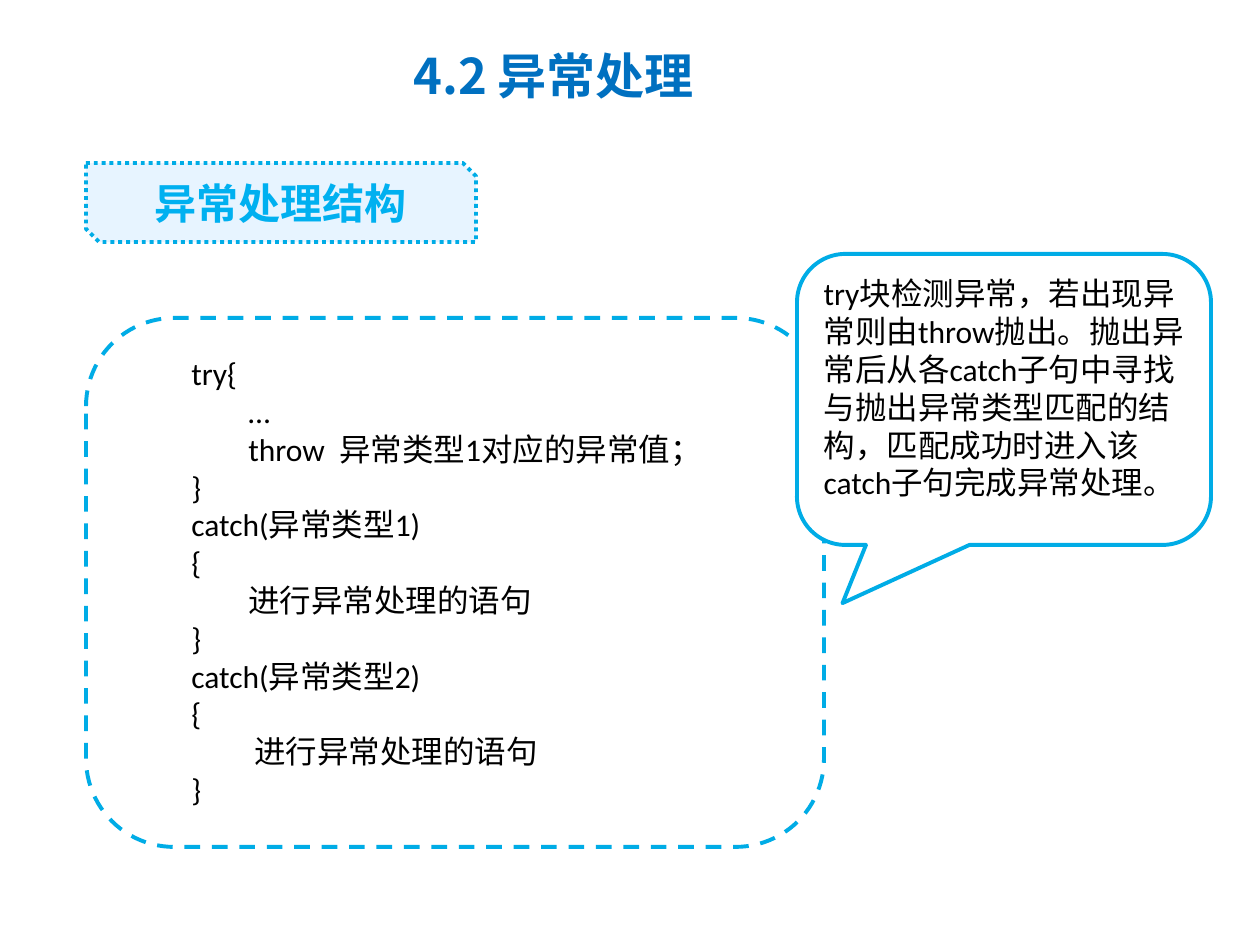
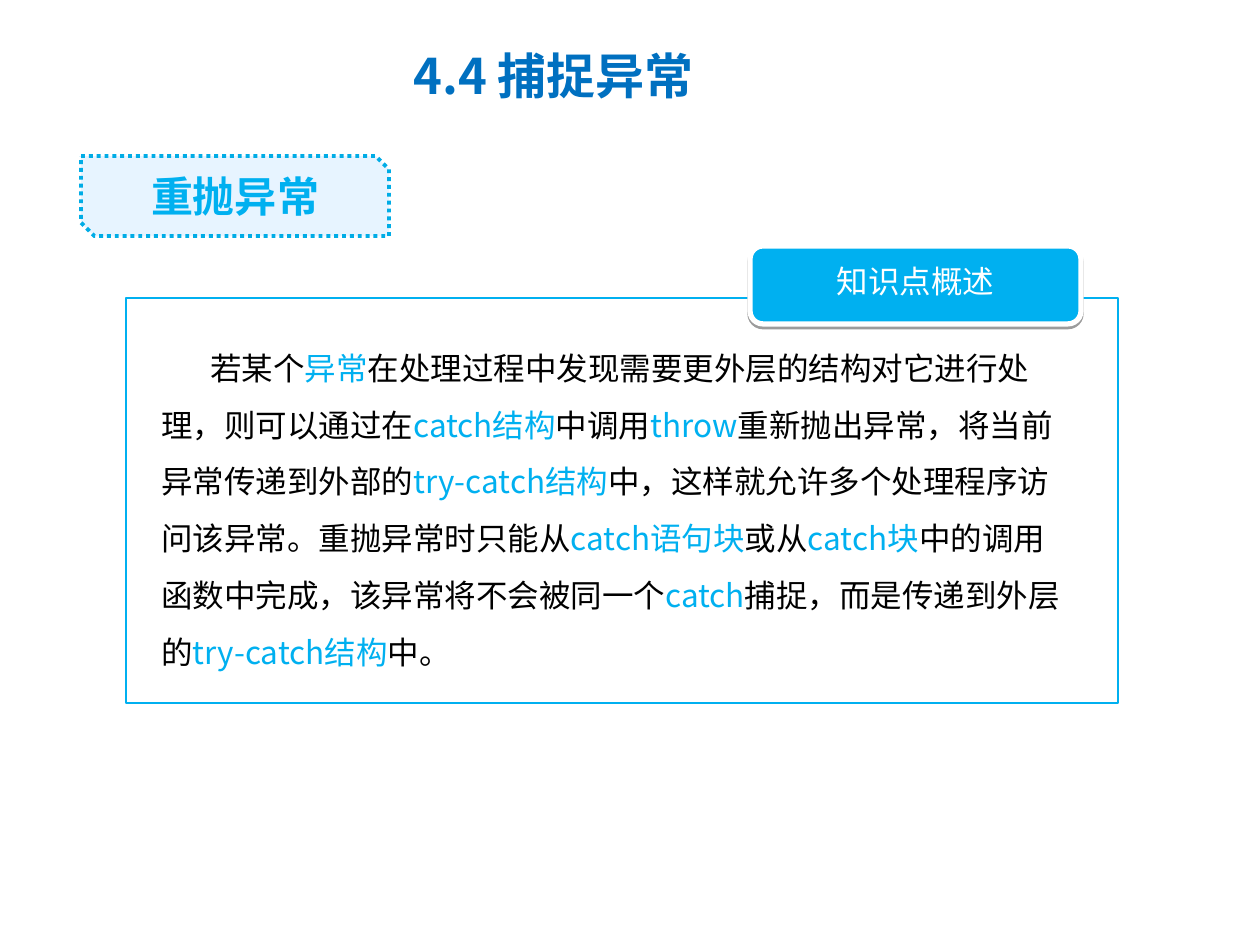
"""Builds two slides on exception handling structure and rethrowing."""
import pptx
import pptx.util
import pptx.dml.color
import pptx.enum.dml
import pptx.enum.shapes
import pptx.enum.text
import pptx.oxml
import pptx.oxml.ns
import lxml.etree
from dataclasses import dataclass

PX = 914400 / 126
SHAPE = pptx.enum.shapes.MSO_SHAPE
ALIGN = pptx.enum.text.PP_ALIGN
ANCHOR = pptx.enum.text.MSO_ANCHOR
DASH = pptx.enum.dml.MSO_LINE
qn = pptx.oxml.ns.qn


@dataclass(frozen=True)
class Theme:
    title: str = "0070C0"
    accent: str = "00B0F0"
    outline: str = "00ACE6"
    pale: str = "E7F4FF"
    white: str = "FFFFFF"
    black: str = "000000"
    sans: str = "Noto Sans CJK SC"
    latin: str = "Calibri"
    title_size: int = 28
    label_size: int = 24
    body_size: int = 18


T = Theme()


def add_box(s, kind, box, fill=None, line=None, width=2.25, dash=None):
    sp = s.shapes.add_shape(kind, *[round(v * PX) for v in box])
    sp.shadow.inherit = False
    if fill:
        sp.fill.solid()
        sp.fill.fore_color.rgb = pptx.dml.color.RGBColor.from_string(fill)
    else:
        sp.fill.background()
    if line:
        sp.line.color.rgb = pptx.dml.color.RGBColor.from_string(line)
        sp.line.width = pptx.util.Pt(width)
        sp.line.dash_style = dash
    else:
        sp.line.fill.background()
    return sp


def style_text(tf, size, color, font, bold=False, align=ALIGN.LEFT, anchor=ANCHOR.MIDDLE):
    tf.word_wrap = True
    tf.vertical_anchor = anchor
    for p in tf.paragraphs:
        p.alignment = align
        for r in p.runs:
            r.font.size = pptx.util.Pt(size)
            r.font.bold = bold
            r.font.name = font
            r.font.color.rgb = pptx.dml.color.RGBColor.from_string(color)
            ea = lxml.etree.SubElement(r.font._element, qn("a:ea"))
            ea.set("typeface", font)


prs = pptx.Presentation()
prs.slide_width = round(1260 * PX)
prs.slide_height = round(945 * PX)

slides = []
for title, label, label_box in [
    ("4.2 异常处理", "异常处理结构", (86, 163, 390, 79)),
    ("4.4 捕捉异常", "重抛异常", (81, 156, 308, 80)),
]:
    s = prs.slides.add_slide(prs.slide_layouts[5])
    sp = s.shapes.title
    sp.left, sp.top, sp.width, sp.height = [round(v * PX) for v in (228, 21, 651, 107)]
    sp.text_frame.text = title
    style_text(sp.text_frame, T.title_size, T.title, T.sans, True, ALIGN.CENTER)
    sp = add_box(s, SHAPE.SNIP_2_DIAG_RECTANGLE, label_box, T.pale, T.outline, dash=DASH.ROUND_DOT)
    sp.text_frame.text = label
    style_text(sp.text_frame, T.label_size, T.accent, T.latin, True, ALIGN.CENTER)
    slides.append(s)

s = slides[0]
add_box(s, SHAPE.ROUNDED_RECTANGLE, (86, 318, 738, 529), line=T.outline, dash=DASH.DASH)

code = [
    (0, "try{"),
    (57, "…"),
    (57, "throw  异常类型1对应的异常值；"),
    (0, "}"),
    (0, "catch(异常类型1)"),
    (0, "{"),
    (57, "进行异常处理的语句"),
    (0, "}"),
    (0, "catch(异常类型2)"),
    (0, "{"),
    (63, "进行异常处理的语句"),
    (0, "}"),
]
sp = s.shapes.add_textbox(*[round(v * PX) for v in (179, 348, 602, 466)])
tf = sp.text_frame
tf.text = "\n".join(text for _, text in code)
style_text(tf, T.body_size, T.black, T.latin, anchor=ANCHOR.TOP)
for p, (indent, _) in zip(tf.paragraphs, code):
    p._p.get_or_add_pPr().set("marL", str(round(indent * PX)))

sp = add_box(s, SHAPE.ROUNDED_RECTANGULAR_CALLOUT, (797, 254, 414, 291), T.white, T.outline)
sp.adjustments[0], sp.adjustments[1] = -0.39, 0.7
sp.text_frame.text = (
    "try块检测异常，若出现异常则由throw抛出。抛出异常后从各catch子句中"
    "寻找与抛出异常类型匹配的结构，匹配成功时进入该catch子句完成异常处理。"
)
style_text(sp.text_frame, T.body_size, T.black, T.latin, anchor=ANCHOR.TOP)

s = slides[1]
sp = add_box(s, SHAPE.RECTANGLE, (126, 298, 992, 405), T.white, T.accent, 0.75)
color = sp._element.spPr.find(qn("a:solidFill"))[0]
lxml.etree.SubElement(color, qn("a:alpha")).set("val", "90000")

sp = add_box(s, SHAPE.ROUNDED_RECTANGLE, (750, 246, 331, 78), T.accent, T.white, 3)
sp.text_frame.text = "知识点概述"
sp.text_frame.margin_bottom = round(14 * PX)
style_text(sp.text_frame, T.body_size, T.white, T.sans, align=ALIGN.CENTER)
sp._element.spPr.find(qn("a:effectLst")).append(pptx.oxml.parse_xml(
    '<a:outerShdw xmlns:a="http://schemas.openxmlformats.org/drawingml/2006/main" '
    'dist="20000" dir="5400000" rotWithShape="0">'
    f'<a:srgbClr val="{T.black}"><a:alpha val="38000"/></a:srgbClr></a:outerShdw>'
))

summary = [
    "若某个", "异常", "在处理过程中发现需要更外层的结构对它进行处理，则可以通过在",
    "catch结构", "中调用", "throw", "重新抛出异常，将当前异常传递到外部的",
    "try-catch结构", "中，这样就允许多个处理程序访问该异常。重抛异常时只能从",
    "catch语句块", "或从", "catch块", "中的调用函数中完成，该异常将不会被同一个",
    "catch", "捕捉，而是传递到外层的", "try-catch结构", "中。",
]
sp = s.shapes.add_textbox(*[round(v * PX) for v in (149, 324, 937, 353)])
tf = sp.text_frame
p = tf.paragraphs[0]
for text in summary:
    p.add_run().text = text
style_text(tf, T.body_size, T.black, T.sans, anchor=ANCHOR.TOP)
for r in p.runs[1::2]:
    r.font.color.rgb = pptx.dml.color.RGBColor.from_string(T.accent)
p.line_spacing = pptx.util.Pt(32.4)
pPr = p._p.get_or_add_pPr()
pPr.set("indent", str(round(49 * PX)))
pPr.set("hangingPunct", "0")

prs.save("out.pptx")
